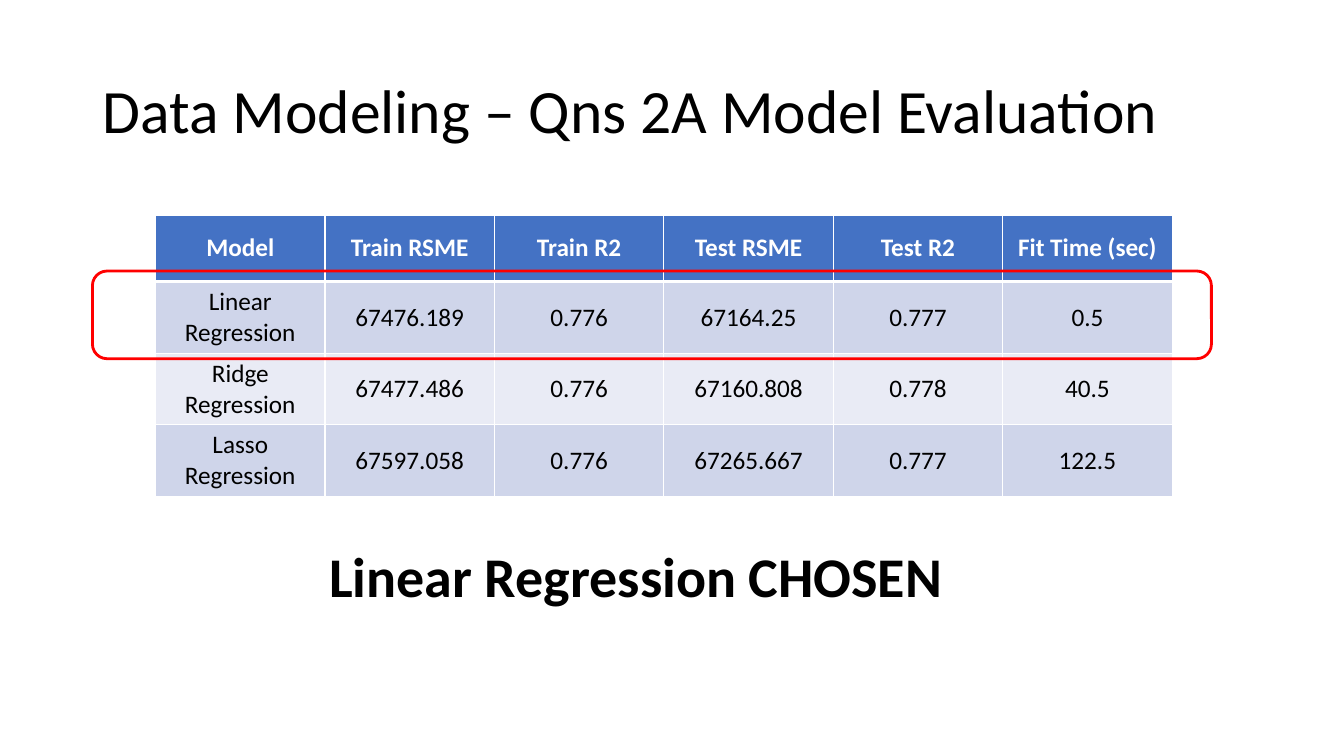
import dataclasses

import lxml.etree
import pptx
import pptx.dml.color
import pptx.enum.shapes
import pptx.enum.text
import pptx.oxml.ns
import pptx.util

Cm = pptx.util.Cm
Pt = pptx.util.Pt
RGB = pptx.dml.color.RGBColor.from_string
ALIGN = pptx.enum.text.PP_ALIGN
ANCHOR = pptx.enum.text.MSO_ANCHOR
qn = pptx.oxml.ns.qn


@dataclasses.dataclass(frozen=True)
class Theme:
    """Colours, type sizes and font of the slide."""
    font: str = "Calibri"
    text: str = "000000"
    white: str = "FFFFFF"
    header: str = "4472C4"
    bands: tuple = ("CFD5EA", "E9EBF5")
    highlight: str = "FF0000"
    title_size: int = 44
    verdict_size: int = 40
    table_size: int = 18


THEME = Theme()
ROWS = [
    ("Model", "Train RSME", "Train R2", "Test RSME", "Test R2", "Fit Time (sec)"),
    ("Linear Regression", "67476.189", "0.776", "67164.25", "0.777", "0.5"),
    ("Ridge Regression", "67477.486", "0.776", "67160.808", "0.778", "40.5"),
    ("Lasso Regression", "67597.058", "0.776", "67265.667", "0.777", "122.5"),
]


def write(tf, text, size, color, bold=False, **paragraph_format):
    """Write one formatted paragraph into a text frame."""
    p = tf.paragraphs[0]
    for name, value in paragraph_format.items():
        setattr(p, name, value)
    r = p.add_run()
    r.text = text
    for name, value in dict(name=THEME.font, size=Pt(size), bold=bold).items():
        setattr(r.font, name, value)
    r.font.color.rgb = RGB(color)


def set_frame(tf, anchor):
    """Make a text frame wrap at a fixed size."""
    values = dict(word_wrap=True, vertical_anchor=anchor,
                  auto_size=pptx.enum.text.MSO_AUTO_SIZE.NONE)
    for name, value in values.items():
        setattr(tf, name, value)


def set_borders(cell, bottom, top):
    """Draw white borders, with the given top and bottom widths in points."""
    tc_pr = cell._tc.get_or_add_tcPr()
    for i, (side, width) in enumerate((("L", 1), ("R", 1), ("T", top), ("B", bottom))):
        ln = lxml.etree.Element(qn(f"a:ln{side}"), w=str(Pt(width)))
        fill = lxml.etree.SubElement(ln, qn("a:solidFill"))
        lxml.etree.SubElement(fill, qn("a:srgbClr"), val=THEME.white)
        tc_pr.insert(i, ln)


def add_title(s, left, top, width, height):
    """Place the slide title in its box."""
    sp = s.shapes.title
    for name, value in dict(left=left, top=top, width=width, height=height).items():
        setattr(sp, name, value)
    set_frame(sp.text_frame, ANCHOR.MIDDLE)
    write(sp.text_frame, "Data Modeling – Qns 2A Model Evaluation", THEME.title_size,
          THEME.text, alignment=ALIGN.LEFT, line_spacing=0.9)


def add_scores(s, left, top, width, height):
    """Place the table of model scores in equal rows and columns."""
    table = s.shapes.add_table(len(ROWS), len(ROWS[0]), left, top, width, height).table
    for i, values in enumerate(ROWS):
        is_header = i == 0
        fill = THEME.header if is_header else THEME.bands[(i - 1) % 2]
        for j, value in enumerate(values):
            cell = table.cell(i, j)
            cell.vertical_anchor = ANCHOR.MIDDLE
            cell.fill.solid()
            cell.fill.fore_color.rgb = RGB(fill)
            set_borders(cell, bottom=3 if is_header else 1, top=3 if i == 1 else 1)
            write(cell.text_frame, value, THEME.table_size,
                  THEME.white if is_header else THEME.text, is_header,
                  alignment=ALIGN.CENTER)


def add_highlight(s, left, top, width, height):
    """Outline the chosen model's row."""
    sp = s.shapes.add_shape(pptx.enum.shapes.MSO_SHAPE.ROUNDED_RECTANGLE,
                            left, top, width, height)
    sp.shadow.inherit = False
    sp.fill.background()
    sp.line.color.rgb = RGB(THEME.highlight)
    sp.line.width = Pt(2)


def add_verdict(s, left, top, width, height):
    """State the chosen model below the table."""
    tf = s.shapes.add_textbox(left, top, width, height).text_frame
    set_frame(tf, ANCHOR.TOP)
    write(tf, "Linear Regression CHOSEN", THEME.verdict_size, THEME.text, True,
          line_spacing=0.8, space_before=Pt(10))


def main():
    """Build and save the slide."""
    prs = pptx.Presentation()
    prs.slide_width, prs.slide_height = Cm(33.87), Cm(19.05)
    s = prs.slides.add_slide(prs.slide_layouts[5])
    add_title(s, Cm(2.33), Cm(1.01), Cm(29.21), Cm(3.68))
    add_scores(s, Cm(3.92), Cm(5.42), Cm(25.62), Cm(6.7))
    add_highlight(s, Cm(2.33), Cm(6.83), Cm(28.2), Cm(2.21))
    add_verdict(s, Cm(8.05), Cm(13.84), Cm(19.15), Cm(1.73))
    prs.save("out.pptx")


if __name__ == "__main__":
    main()
